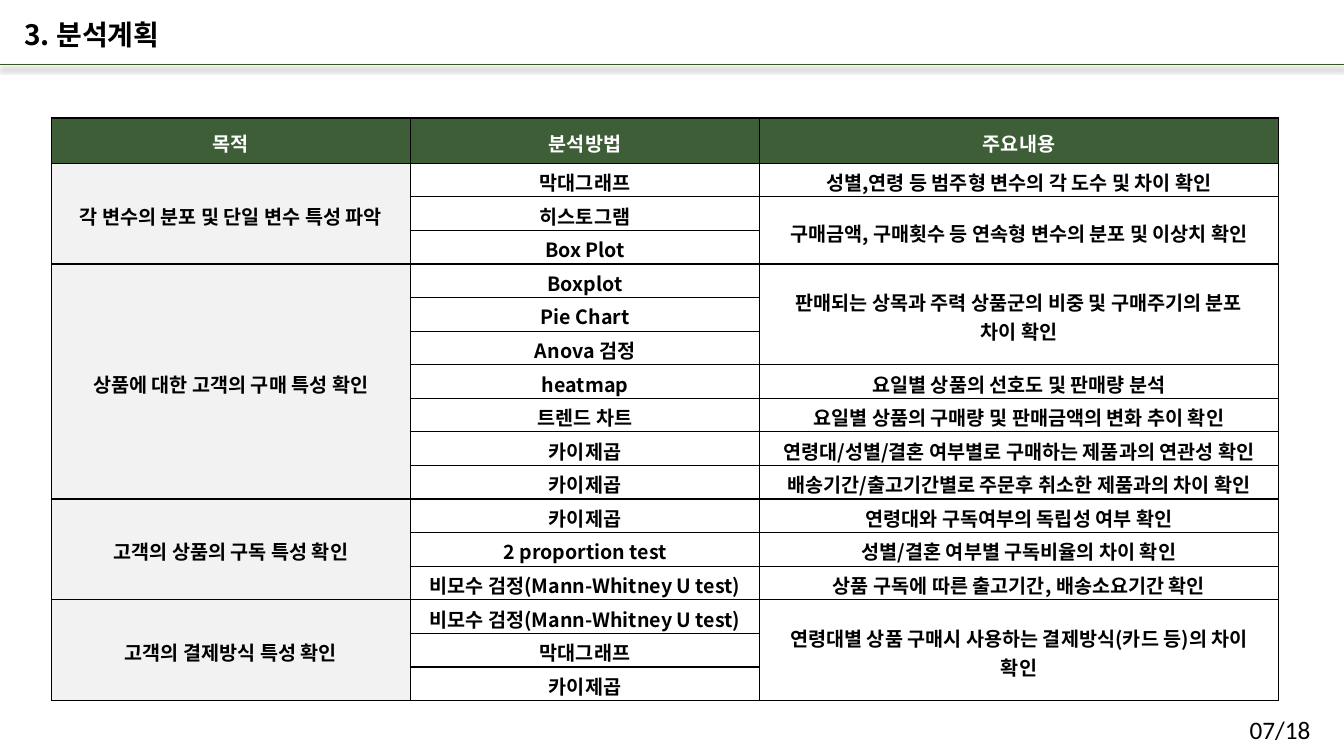
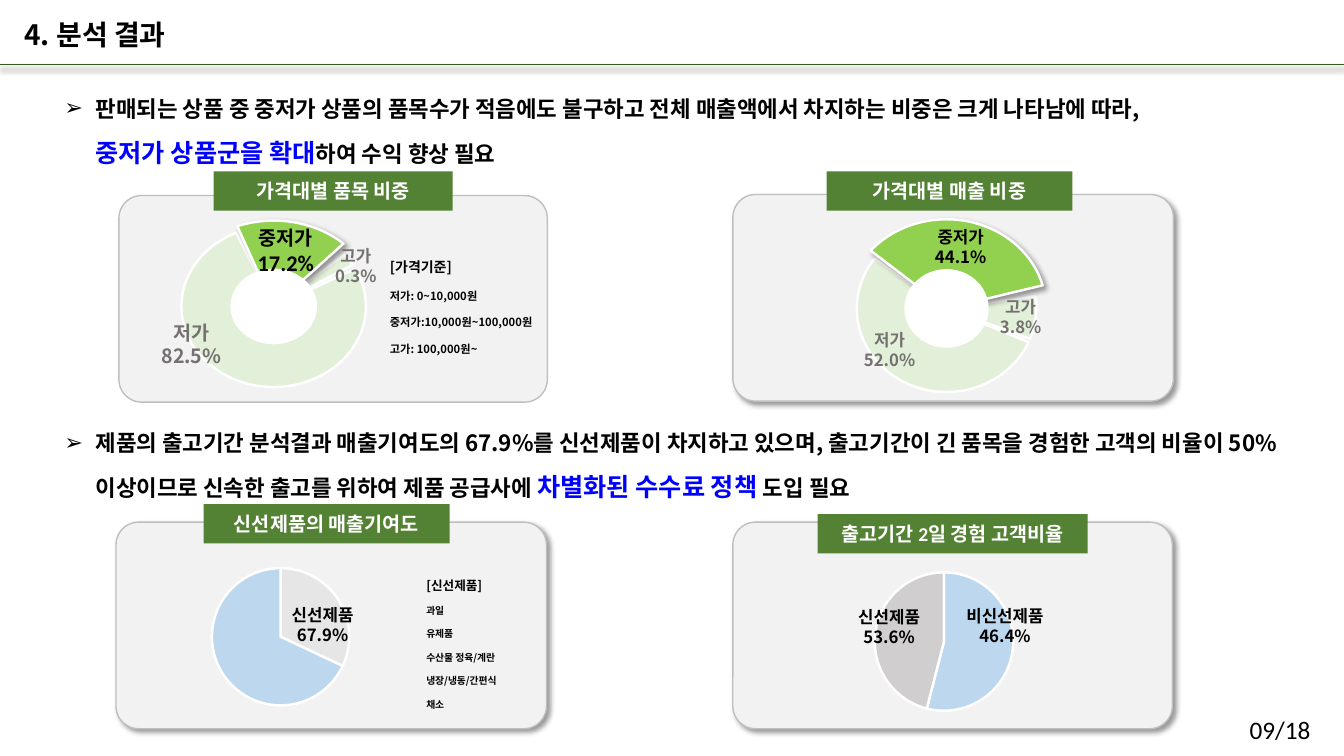
from lxml import etree
from pptx import Presentation
from pptx.chart.data import CategoryChartData
from pptx.dml.color import RGBColor
from pptx.enum.chart import XL_CHART_TYPE as CHART
from pptx.enum.shapes import MSO_CONNECTOR, MSO_SHAPE as SHAPE
from pptx.enum.text import MSO_ANCHOR as ANCHOR, MSO_AUTO_SIZE, PP_ALIGN as ALIGN
from pptx.oxml import parse_xml
from pptx.oxml.ns import nsdecls, qn
from pptx.util import Inches, Pt

W, H = Inches(13.333), Inches(7.5)
KOREAN, LATIN, ARIAL = "Noto Sans CJK KR", "Calibri", "Arial"
BLACK = RGBColor(0, 0, 0)
WHITE = RGBColor(0xFF, 0xFF, 0xFF)
BLUE = RGBColor(0, 0, 0xFF)
MUTED = RGBColor(0x76, 0x71, 0x71)
RULE_GREEN = RGBColor(0x38, 0x57, 0x23)
HEAD_GREEN = RGBColor(0x3E, 0x5E, 0x38)
TAB_GREEN = RGBColor(0x54, 0x82, 0x35)
PALE_GREEN = RGBColor(0xE2, 0xF0, 0xD9)
BRIGHT_GREEN = RGBColor(0x92, 0xD0, 0x50)
PANEL = RGBColor(0xF2, 0xF2, 0xF2)
PANEL_EDGE = RGBColor(0xBF, 0xBF, 0xBF)
PIE_BLUE = RGBColor(0xBD, 0xD7, 0xEE)
PIE_LIGHT = RGBColor(0xE7, 0xE6, 0xE6)
PIE_GREY = RGBColor(0xD0, 0xCE, 0xCE)

HEADINGS = ["목적", "분석방법", "주요내용"]
PLAN = [
    ("각 변수의 분포 및 단일 변수 특성 파악", [
        ("막대그래프", "성별,연령 등 범주형 변수의 각 도수 및 차이 확인"),
        ("히스토그램", "구매금액, 구매횟수 등 연속형 변수의 분포 및 이상치 확인"),
        ("Box Plot", None)]),
    ("상품에 대한 고객의 구매 특성 확인", [
        ("Boxplot", "판매되는 상목과 주력 상품군의 비중 및 구매주기의 분포\n차이 확인"),
        ("Pie Chart", None),
        ("Anova 검정", None),
        ("heatmap", "요일별 상품의 선호도 및 판매량 분석"),
        ("트렌드 차트", "요일별 상품의 구매량 및 판매금액의 변화 추이 확인"),
        ("카이제곱", "연령대/성별/결혼 여부별로 구매하는 제품과의 연관성 확인"),
        ("카이제곱", "배송기간/출고기간별로 주문후 취소한 제품과의 차이 확인")]),
    ("고객의 상품의 구독 특성 확인", [
        ("카이제곱", "연령대와 구독여부의 독립성 여부 확인"),
        ("2 proportion test", "성별/결혼 여부별 구독비율의 차이 확인"),
        ("비모수 검정(Mann-Whitney U test)", "상품 구독에 따른 출고기간, 배송소요기간 확인")]),
    ("고객의 결제방식 특성 확인", [
        ("비모수 검정(Mann-Whitney U test)",
         "연령대별 상품 구매시 사용하는 결제방식(카드 등)의 차이\n확인"),
        ("막대그래프", None),
        ("카이제곱", None)]),
]


def place(x, y, w, h):
    """Turn percentages of the slide into left, top, width and height."""
    return [int(v * side / 100) for v, side in zip((x, y, w, h), (W, H, W, H))]


def scaled(box, fx, fy):
    """Scale a box about its centre."""
    x, y, w, h = box
    return x + w * (1 - fx) / 2, y + h * (1 - fy) / 2, w * fx, h * fy


def style_run(r, size, color=BLACK, font=KOREAN, bold=True):
    """Give a run its size, colour and Latin and Korean fonts."""
    r.font.size, r.font.bold, r.font.name = Pt(size), bold, font
    r.font.color.rgb = color
    ea = etree.Element(qn("a:ea"), typeface=KOREAN)
    r.font._element.find(qn("a:latin")).addnext(ea)


def style_frame(tf, size, align=ALIGN.LEFT, spacing=None, **look):
    """Format every paragraph and run of a text frame alike."""
    for p in tf.paragraphs:
        p.alignment = align
        if spacing:
            p.line_spacing = spacing
        for r in p.runs:
            style_run(r, size, **look)


def set_shadow(sp, angle=None):
    """Replace the theme shadow by none, or by a soft one at an angle."""
    effects = etree.SubElement(sp.element.spPr, qn("a:effectLst"))
    if angle is not None:
        effects.append(parse_xml(
            f'<a:outerShdw {nsdecls("a")} blurRad="{Pt(4)}" dist="{Pt(3)}" '
            f'dir="{angle * 60000}" algn="tl" rotWithShape="0"><a:srgbClr val="000000">'
            '<a:alpha val="40000"/></a:srgbClr></a:outerShdw>'))


def add_text(s, box, text, size, **look):
    """Add a wrapping text box with one format and return its frame."""
    tf = s.shapes.add_textbox(*place(*box)).text_frame
    tf.word_wrap = True
    tf.text = text
    style_frame(tf, size, **look)
    return tf


def add_shape(s, kind, box, fill, line=None, width=1, shadow=None):
    """Add a filled preset shape."""
    sp = s.shapes.add_shape(kind, *place(*box))
    sp.fill.solid()
    sp.fill.fore_color.rgb = fill
    if line is None:
        sp.line.fill.background()
    else:
        sp.line.color.rgb, sp.line.width = line, Pt(width)
    set_shadow(sp, shadow)
    return sp


def add_slide(prs, title, page):
    """Add a slide with the shared title, rule and page number."""
    s = prs.slides.add_slide(prs.slide_layouts[5])
    sp = s.shapes.title
    sp.left, sp.top, sp.width, sp.height = place(1.05, 1.6, 26.5, 5.87)
    tf = sp.text_frame
    tf.text = title
    tf.auto_size, tf.vertical_anchor = MSO_AUTO_SIZE.NONE, ANCHOR.TOP
    style_frame(tf, 20)
    x, y, w, h = place(0, 8.53, 100, 0)
    rule = s.shapes.add_connector(MSO_CONNECTOR.STRAIGHT, x, y, x + w, y + h)
    rule.line.color.rgb, rule.line.width = RULE_GREEN, Pt(1)
    set_shadow(rule, 90)
    add_text(s, (92.25, 93.87, 7.05, 5.33), page, 18, font=LATIN, bold=False)
    return s


def style_cell(cell, fill=None):
    """Give a table cell black borders, tight margins and a fill."""
    tcPr = cell._tc.get_or_add_tcPr()
    for side in "LRTB":
        tcPr.append(parse_xml(
            f'<a:ln{side} {nsdecls("a")} w="{Pt(1)}"><a:solidFill>'
            f'<a:srgbClr val="{BLACK}"/></a:solidFill></a:ln{side}>'))
    cell.vertical_anchor = ANCHOR.MIDDLE
    cell.margin_left = cell.margin_right = Inches(0.08)
    cell.margin_top, cell.margin_bottom = Inches(0.04), 0
    if fill is None:
        cell.fill.background()
    else:
        cell.fill.solid()
        cell.fill.fore_color.rgb = fill


def add_plan_table(s, box):
    """Add the plan table, merging each cell with the blanks below it."""
    rows = [HEADINGS]
    for purpose, steps in PLAN:
        rows += [(None if i else purpose, *step) for i, step in enumerate(steps)]
    x, y, w, h = place(*box)
    table = s.shapes.add_table(len(rows), len(HEADINGS), x, y, w, h).table
    table.first_row = table.horz_banding = False
    for col, share in zip(table.columns, (29.25, 28.5, 42.25)):
        col.width = int(w * share / 100)
    head = Inches(0.45)
    for i, row in enumerate(table.rows):
        row.height = (h - head) // (len(rows) - 1) if i else head
    for i, row in enumerate(rows):
        for j, text in enumerate(row):
            cell = table.cell(i, j)
            style_cell(cell, HEAD_GREEN if i == 0 else PANEL if j == 0 else None)
            if text is None:
                continue
            cell.text = text
            look = {} if i else {"color": WHITE, "font": LATIN}
            style_frame(cell.text_frame, 14, ALIGN.CENTER, **look)
            last = i
            while last + 1 < len(rows) and rows[last + 1][j] is None:
                last += 1
            if last > i:
                cell.merge(table.cell(last, j))


def add_finding(s, box, pieces):
    """Add a bulleted finding whose key phrases are larger and blue."""
    tf = s.shapes.add_textbox(*place(*box)).text_frame
    tf.word_wrap = True
    p = tf.paragraphs[0]
    pPr = p._p.get_or_add_pPr()
    pPr.set("marL", str(Inches(0.31)))
    pPr.set("indent", str(-Inches(0.31)))
    etree.SubElement(pPr, qn("a:buFont"), typeface=ARIAL)
    etree.SubElement(pPr, qn("a:buChar"), char="➢")
    p.line_spacing = 1.5
    for text, key in pieces:
        r = p.add_run()
        r.text = text
        style_run(r, 18 if key else 16, BLUE if key else BLACK)


def add_panel(s, box, tab, title, font=LATIN, shadow=45):
    """Add a rounded panel with its green title tab."""
    sp = add_shape(s, SHAPE.ROUNDED_RECTANGLE, box, PANEL, PANEL_EDGE, shadow=shadow)
    sp.adjustments[0] = 0.11
    tf = add_shape(s, SHAPE.RECTANGLE, tab, TAB_GREEN).text_frame
    tf.text = title
    tf.vertical_anchor = ANCHOR.MIDDLE
    style_frame(tf, 14, ALIGN.CENTER, color=WHITE, font=font)


def add_donut(s, ring, plain, key):
    """Add a ring of pie slices, given in degrees, with one raised slice."""
    raised = scaled(ring, 1.11, 1.065)
    slices = [(ring, angles, PALE_GREEN, None) for angles in plain]
    for box, angles, fill, shadow in slices + [(raised, key, BRIGHT_GREEN, 45)]:
        sp = add_shape(s, SHAPE.PIE, box, fill, WHITE, 1.75, shadow)
        for i, degrees in enumerate(angles):
            sp.adjustments[i] = degrees * 0.6
    add_shape(s, SHAPE.OVAL, scaled(ring, 0.47, 0.47), WHITE)


def add_pie(s, box, values, colors, layout=None):
    """Add a pie chart with white edges and an optional inner plot area."""
    data = CategoryChartData()
    data.categories = ["1", "2"]
    data.add_series("Series 1", values)
    chart = s.shapes.add_chart(CHART.PIE, *place(*box), data).chart
    chart.has_title = chart.has_legend = False
    chart.font.size, chart.font.name = Pt(10), LATIN
    chart.font.color.rgb = BLACK
    plot = chart.plots[0]
    plot.vary_by_categories = True
    for i, color in enumerate(colors):
        fmt = plot.series[0].points[i].format
        fmt.fill.solid()
        fmt.fill.fore_color.rgb = color
        fmt.line.color.rgb, fmt.line.width = WHITE, Pt(1.75)
    if layout:
        area = chart.element.find(".//" + qn("c:plotArea"))
        for old in area.findall(qn("c:layout")):
            area.remove(old)
        parts = "".join(f'<c:{k} val="{v}"/>' for k, v in zip("xywh", layout))
        area.insert(0, parse_xml(
            f'<c:layout {nsdecls("c")}><c:manualLayout><c:layoutTarget val="inner"/>'
            f'<c:xMode val="edge"/><c:yMode val="edge"/>{parts}'
            '</c:manualLayout></c:layout>'))


def add_label(s, box, text, size=12, color=BLACK):
    """Add a centred name and value."""
    return add_text(s, box, text, size, align=ALIGN.CENTER, color=color)


def add_key(s, box, text, head_size, size):
    """Add a double-spaced list with a larger heading."""
    tf = add_text(s, box, text, size, spacing=2.0)
    tf.paragraphs[0].runs[0].font.size = Pt(head_size)


def build_results(s):
    """Fill the results slide with findings, panels and charts."""
    add_panel(s, (8.85, 25.87, 31.88, 27.33), (15.9, 22.67, 17.78, 5.2),
              "가격대별 품목 비중", ARIAL, None)
    add_panel(s, (54.53, 25.73, 32.78, 27.33), (61.5, 22.67, 18.3, 5.2),
              "가격대별 매출 비중", ARIAL)
    add_panel(s, (8.63, 69.07, 32.03, 27.33), (15.15, 66.67, 18.3, 5.2),
              "신선제품의 매출기여도")
    add_panel(s, (54.53, 69.07, 32.7, 27.33), (60.83, 68, 20.1, 5.2),
              "출고기간 2일 경험 고객비율")
    add_finding(s, (4.05, 10.13, 85.5, 12), [
        ("판매되는 상품 중 중저가 상품의 품목수가 적음에도 불구하고 전체 매출액에서 "
         "차지하는 비중은 크게 나타남에 따라, ", False),
        ("중저가 상품군을 확대", True), ("하여 수익 향상 필요", False)])
    add_finding(s, (4.05, 54.4, 92.48, 12), [
        ("제품의 출고기간 분석결과 매출기여도의 67.9%를 신선제품이 차지하고 있으며, "
         "출고기간이 긴 품목을 경험한 고객의 비율이 50% 이상이므로 신속한 출고를 위하여 "
         "제품 공급사에 ", False),
        ("차별화된 수수료 정책 ", True), ("도입 필요", False)])

    add_donut(s, (13.5, 29.87, 13.73, 21.33), [(335.3, 243), (323.7, 332.2)], (245.6, 318))
    tf = add_label(s, (17.7, 29.2, 7.13, 8.13), "중저가\n17.2%", 14)
    value = tf.paragraphs[1].runs[0].font
    value.size, value.name = Pt(16), LATIN
    add_label(s, (8.4, 41.73, 11.7, 7.6), "저가\n82.5%", 14, MUTED)
    add_label(s, (23.18, 31.87, 6.6, 6.67), "고가\n0.3%", color=MUTED)
    add_key(s, (28.28, 31.33, 12.45, 16),
            "[가격기준]\n저가: 0~10,000원\n중저가:10,000원~100,000원\n고가: 100,000원~", 10, 8)

    add_donut(s, (63.75, 29.73, 13.35, 22.13), [(22.4, 215), (352.2, 20)], (217.3, 346.5))
    add_label(s, (68.03, 29.33, 6.9, 6.67), "중저가\n44.1%")
    add_label(s, (60.53, 42.93, 11.33, 6.67), "저가\n52.0%", color=MUTED)
    add_label(s, (70.28, 38.53, 11.33, 6.67), "고가\n3.8%", color=MUTED)

    add_pie(s, (8.63, 73.73, 23.33, 23.6), (32, 68), (PIE_LIGHT, PIE_BLUE),
            (0.06, 0.06, 0.93, 0.77))
    add_label(s, (19.43, 79.33, 9.15, 6.67), "신선제품\n67.9%")
    add_key(s, (30.98, 73.73, 8, 20.53),
            "[신선제품]\n과일\n유제품\n수산물 정육/계란\n냉장/냉동/간편식\n채소", 9, 7)
    add_pie(s, (57.9, 73.87, 24.68, 22), (54, 46), (PIE_BLUE, PIE_GREY))
    add_label(s, (61.58, 79.6, 9.15, 6.67), "신선제품\n53.6%")
    add_label(s, (70.2, 79.47, 9.15, 6.67), "비신선제품\n46.4%")


def main():
    """Build and save the two slides."""
    prs = Presentation()
    prs.slide_width, prs.slide_height = W, H
    s = add_slide(prs, "3. 분석계획", "07/18")
    add_plan_table(s, (3.83, 15.6, 91.28, 77.07))
    build_results(add_slide(prs, "4. 분석 결과", "09/18"))
    prs.save("out.pptx")


if __name__ == "__main__":
    main()
